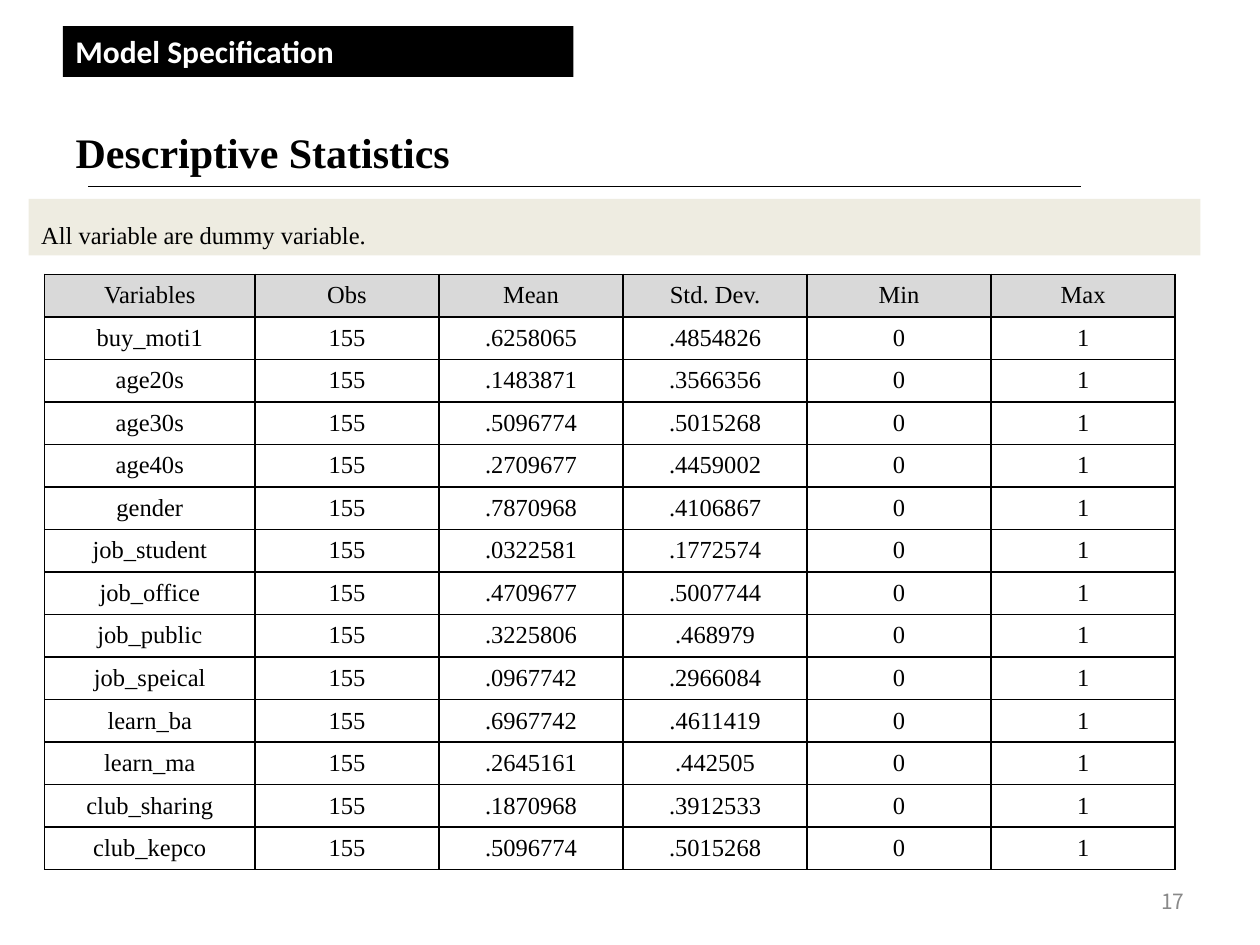
"""Build the descriptive statistics slide."""
from lxml.etree import SubElement as Sub
from pptx import Presentation
from pptx.dml.color import RGBColor
from pptx.enum.shapes import MSO_CONNECTOR as Link, MSO_SHAPE as Shape
from pptx.enum.text import MSO_ANCHOR as Anchor, PP_ALIGN as Align
from pptx.oxml import parse_xml
from pptx.oxml.ns import nsdecls, qn
from pptx.util import Cm, Pt

SERIF = "Times New Roman"
HEAD = ["Variables", "Obs", "Mean", "Std. Dev.", "Min", "Max"]
STATS = [
    ("buy_moti1", ".6258065", ".4854826"),
    ("age20s", ".1483871", ".3566356"),
    ("age30s", ".5096774", ".5015268"),
    ("age40s", ".2709677", ".4459002"),
    ("gender", ".7870968", ".4106867"),
    ("job_student", ".0322581", ".1772574"),
    ("job_office", ".4709677", ".5007744"),
    ("job_public", ".3225806", ".468979"),
    ("job_speical", ".0967742", ".2966084"),
    ("learn_ba", ".6967742", ".4611419"),
    ("learn_ma", ".2645161", ".442505"),
    ("club_sharing", ".1870968", ".3912533"),
    ("club_kepco", ".5096774", ".5015268"),
]
ROWS = [HEAD] + [(name, "155", mean, dev, "0", "1") for name, mean, dev in STATS]
WIDTHS = [4.24] + [3.71] * 5
ROW_H = 0.857


def color(code):
    return RGBColor.from_string(code)


def write(frame, text, size, face=SERIF, ink="000000", bold=False,
          align=Align.LEFT, anchor=Anchor.MIDDLE):
    frame.text = text
    frame.word_wrap = True
    frame.vertical_anchor = anchor
    par = frame.paragraphs[0]
    par.alignment = align
    font = par.runs[0].font
    font.size, font.name, font.bold = Pt(size), face, bold
    font.color.rgb = color(ink)
    for tag in ("a:ea", "a:cs"):
        Sub(par.runs[0]._r.get_or_add_rPr(), qn(tag)).set("typeface", face)
    return par


def add_bar(slide, box, fill):
    bar = slide.shapes.add_shape(Shape.RECTANGLE, *map(Cm, box))
    bar.shadow.inherit = False
    bar.fill.solid()
    bar.fill.fore_color.rgb = color(fill)
    bar.line.fill.background()
    return bar.text_frame


def add_edges(cell):
    props = cell._tc.get_or_add_tcPr()
    for spot, side in enumerate("LRTB"):
        props.insert(spot, parse_xml(
            f'<a:ln{side} {nsdecls("a")} w="12700"><a:solidFill>'
            f'<a:srgbClr val="000000"/></a:solidFill></a:ln{side}>'))


def add_stats(slide):
    table = slide.shapes.add_table(
        len(ROWS), len(HEAD), Cm(0.9), Cm(5.53),
        Cm(sum(WIDTHS)), Cm(ROW_H * len(ROWS))).table
    table.first_row = table.horz_banding = False
    for col, width in zip(table.columns, WIDTHS):
        col.width = Cm(width)
    for top, (row, texts) in enumerate(zip(table.rows, ROWS)):
        row.height = Cm(ROW_H)
        for cell, text in zip(row.cells, texts):
            cell.margin_left = cell.margin_right = Cm(0.18)
            cell.margin_top = cell.margin_bottom = 0
            cell.vertical_anchor = Anchor.MIDDLE
            write(cell.text_frame, text, 14, align=Align.CENTER)
            if top == 0:
                cell.fill.solid()
                cell.fill.fore_color.rgb = color("D9D9D9")
            else:
                cell.fill.background()
            add_edges(cell)


def main():
    deck = Presentation()
    deck.slide_width, deck.slide_height = Cm(25.4), Cm(19.05)
    slide = deck.slides.add_slide(deck.slide_layouts[5])

    title = slide.shapes.title
    title.left, title.top, title.width, title.height = map(
        Cm, (1.27, 2.4, 20.5, 1.3))
    write(title.text_frame, "Descriptive Statistics", 24, bold=True)

    banner = add_bar(slide, (1.27, 0.53, 10.29, 1.02), "000000")
    write(banner, "Model Specification", 18, "Calibri", "FFFFFF", True,
          anchor=Anchor.TOP)

    add_stats(slide)

    rule = slide.shapes.add_connector(
        Link.STRAIGHT, Cm(1.78), Cm(3.76), Cm(21.8), Cm(3.76))
    rule.line.color.rgb = color("000000")
    rule.line.width = Pt(1)
    Sub(rule._element.spPr, qn("a:effectLst"))

    note = add_bar(slide, (0.58, 4.01, 23.62, 1.14), "EEECE1")
    par = write(note, "All variable are dummy variable.", 14, align=Align.JUSTIFY)
    par.line_spacing = 1.5

    page = slide.shapes.add_textbox(Cm(18.2), Cm(17.65), Cm(5.93), Cm(1.02))
    write(page.text_frame, "17", 12, "Noto Sans CJK KR", "898989",
          align=Align.RIGHT)
    deck.save("out.pptx")


if __name__ == "__main__":
    main()
